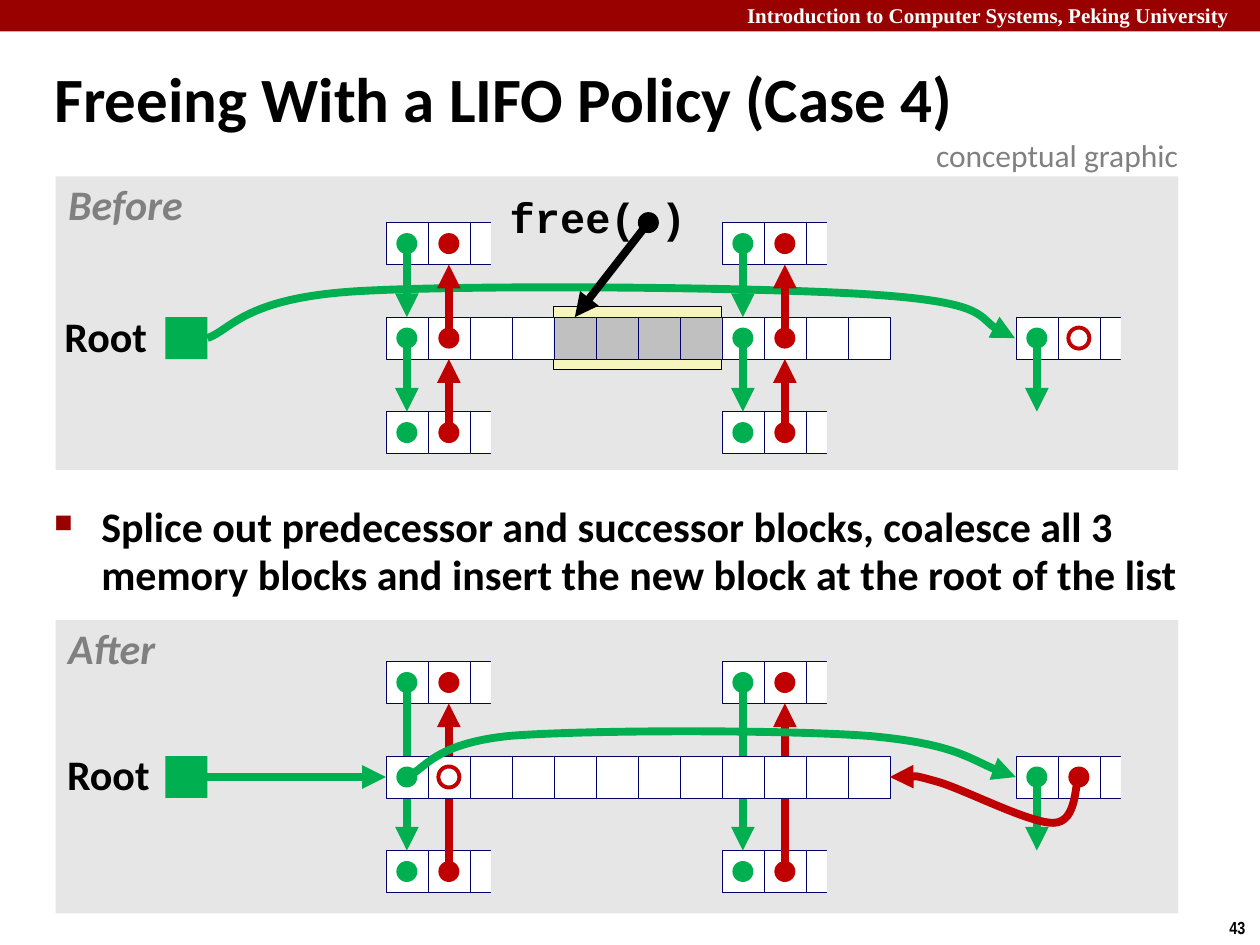
import lxml.etree
import pptx
import pptx.dml.color
import pptx.enum.dml
import pptx.enum.shapes
import pptx.enum.text
import pptx.oxml.ns
import pptx.util

Pt = pptx.util.Pt
hex_color = pptx.dml.color.RGBColor.from_string
qn = pptx.oxml.ns.qn
RECTANGLE = pptx.enum.shapes.MSO_SHAPE.RECTANGLE
OVAL = pptx.enum.shapes.MSO_SHAPE.OVAL
ALIGN = pptx.enum.text.PP_ALIGN
ANCHOR = pptx.enum.text.MSO_ANCHOR
GREEN, RED, NAVY, GRAY, PANEL = "00B050", "C00000", "000066", "808080", "E6E6E6"
TOP, LEFT, BOTTOM = 0, 1, 2
CELL, DOT, ROW_STEP = 24, 12, 54
FIRST_LEFT, SECOND_LEFT, LAST_LEFT, ROOT_LEFT = 220.5, 412.5, 580.5, 94.5
BEFORE_TOP, AFTER_TOP = 127.2, 378

presentation = pptx.Presentation()
presentation.slide_width, presentation.slide_height = Pt(720), Pt(540)
slide = presentation.slides.add_slide(presentation.slide_layouts[5])


def draw_shape(shapes, kind, left, top, width, height, fill=None, line=None, line_width=0.25):
    shape = shapes.add_shape(kind, Pt(left), Pt(top), Pt(width), Pt(height))
    shape.shadow.inherit = False
    for part, color in ((shape.fill, fill), (shape.line.fill, line)):
        if color:
            part.solid()
            part.fore_color.rgb = hex_color(color)
        else:
            part.background()
    if line:
        shape.line.width = Pt(line_width)
    return shape


def draw_arrow(points, color, target=None, side=TOP):
    lengths = [(Pt(x), Pt(y)) for x, y in points]
    if len(points) == 2:
        arrow = slide.shapes.add_connector(
            pptx.enum.shapes.MSO_CONNECTOR.STRAIGHT, *lengths[0], *lengths[1])
        if target is not None:
            arrow.end_connect(target, side)
    else:
        builder = slide.shapes.build_freeform(*lengths[0], scale=1.0)
        builder.add_line_segments(lengths[1:], close=False)
        arrow = builder.convert_to_shape()
        arrow.fill.background()
        for index, segment in enumerate(arrow.element.xpath(".//a:lnTo")):
            outline = segment.getparent()
            if index % 3 == 0:
                curve = lxml.etree.SubElement(outline, qn("a:cubicBezTo"))
            curve.append(segment[0])
            outline.remove(segment)
    arrow.line.width = Pt(4.5)
    arrow.line.color.rgb = hex_color(color)
    lxml.etree.SubElement(arrow.get_or_add_ln(), qn("a:tailEnd"), type="triangle")
    lxml.etree.SubElement(arrow.element.spPr, qn("a:effectLst"))


draw_shape(slide.shapes, RECTANGLE, 0, 0, 720, 18, "990000")
for panel_top in (100.8, 354.2):
    draw_shape(slide.shapes, RECTANGLE, 31.8, panel_top, 641.5, 167.8, PANEL)
draw_shape(slide.shapes, RECTANGLE, 316.5, 175.2, 96, 36, "F6F5BD", "000000", 0.75)

cells = {}
for top in (BEFORE_TOP, AFTER_TOP):
    middle = top + ROW_STEP
    stubs = [(left, top + row * ROW_STEP)
             for left in (FIRST_LEFT, SECOND_LEFT) for row in (0, 2)]
    for stub_left, stub_top in stubs + [(LAST_LEFT, middle)]:
        group = slide.shapes.add_group_shape()
        for column in range(3):
            left = stub_left + column * CELL
            cells[left, stub_top] = draw_shape(
                group.shapes, RECTANGLE, left, stub_top, CELL, CELL, "FFFFFF", NAVY)
        draw_shape(group.shapes, RECTANGLE, stub_left + 60, stub_top - 6, CELL, 36, PANEL)
    draw_shape(slide.shapes, RECTANGLE, ROOT_LEFT, middle, CELL, CELL, GREEN)

for left in (FIRST_LEFT, SECOND_LEFT):
    center, bottom = left + CELL / 2, AFTER_TOP + 2 * ROW_STEP
    draw_arrow([(center + CELL, bottom + 12), (center + CELL, AFTER_TOP + CELL)],
               RED, cells[left + CELL, AFTER_TOP], BOTTOM)
    draw_arrow([(center, AFTER_TOP + 12), (center, bottom)], GREEN, cells[left, bottom])
draw_arrow([(118.5, 193.2), (132, 188.6), (139, 170.6), (202.5, 166.5), (266.5, 162.5),
            (437, 164), (500.5, 168.5), (563, 172.8), (563, 188), (580, 193.2)], GREEN)

for top, allocated_color in ((BEFORE_TOP, "C0C0C0"), (AFTER_TOP, "FFFFFF")):
    middle = top + ROW_STEP
    for column in range(12):
        left = FIRST_LEFT + column * CELL
        fill = allocated_color if 4 <= column < 8 else "FFFFFF"
        cells[left, middle] = draw_shape(
            slide.shapes, RECTANGLE, left, middle, CELL, CELL, fill, NAVY)
    center = LAST_LEFT + CELL / 2
    draw_arrow([(center, middle + 12), (center, middle + ROW_STEP)], GREEN)

for left in (FIRST_LEFT, SECOND_LEFT):
    center = left + CELL / 2
    for row in (0, 1):
        top = BEFORE_TOP + row * ROW_STEP
        below = top + ROW_STEP
        draw_arrow([(center, top + 12), (center, below)], GREEN, cells[left, below])
        draw_arrow([(center + CELL, below + 12), (center + CELL, top + CELL)],
                   RED, cells[left + CELL, top], BOTTOM)

draw_arrow([(112.5, 444), (FIRST_LEFT, 444)], GREEN, cells[FIRST_LEFT, 432], LEFT)
draw_arrow([(232.5, 444), (242.5, 440), (247.5, 424.8), (291.5, 420.5), (335.5, 417),
            (448, 417), (496, 420.5), (544.5, 424.8), (563, 439), (580.5, 444)], GREEN)
draw_arrow([(616.5, 444), (614, 448.5), (615.5, 470), (602, 470.2), (588, 470.5),
            (550, 450.5), (535, 446.5), (519, 442), (514, 444), (508.5, 444)], RED)

dots = [(left, top + row * ROW_STEP)
        for top in (BEFORE_TOP, AFTER_TOP)
        for left in (FIRST_LEFT, SECOND_LEFT, LAST_LEFT)
        for row in ((1,) if left == LAST_LEFT else (0, 1, 2))
        if (left, row, top) != (SECOND_LEFT, 1, AFTER_TOP)]
rings = [(LAST_LEFT, BEFORE_TOP + ROW_STEP), (FIRST_LEFT, AFTER_TOP + ROW_STEP)]
for left, top in dots:
    draw_shape(slide.shapes, OVAL, left + 6, top + 6, DOT, DOT, GREEN)
    fill, line = (None, RED) if (left, top) in rings else (RED, None)
    draw_shape(slide.shapes, OVAL, left + CELL + 6, top + 6, DOT, DOT, fill, line, 2.25)

heading = {"name": "Calibri", "size": Pt(24), "bold": True}
label_format = {"alignment": ALIGN.CENTER, "line_spacing": 0.9}
black, gray, white = "000000", GRAY, "FFFFFF"
texts = [
    ("Introduction to Computer Systems, Peking University", (419.8, -2, 305, 21.6), white,
     {"name": "Times New Roman", "size": Pt(12), "bold": True}, {}, True),
    ("43", (695.5, 520.6, 24.5, 19.4), black,
     {"name": "Arial Narrow", "size": Pt(10), "bold": True}, {}, False),
    ("Freeing With a LIFO Policy (Case 4)", (23.8, 28, 686, 62), black,
     {**heading, "size": Pt(36)}, {"alignment": ALIGN.LEFT, "line_spacing": 0.87}, True),
    ("Splice out predecessor and successor blocks, coalesce all 3 memory blocks and insert "
     "the new block at the root of the list", (23.8, 284.4, 667.5, 89.3), black,
     heading, {"line_spacing": 0.95}, True),
    ("free( )", (287.3, 109.4, 108.7, 33.8), black,
     {**heading, "name": "Courier New"}, label_format, False),
    ("Root", (33.1, 177.1, 54.7, 33.8), black, heading, label_format, False),
    ("Root", (34.6, 427.7, 54.7, 33.8), black, heading, label_format, False),
    ("Before", (34.6, 101.5, 74.2, 33.8), gray,
     {**heading, "italic": True}, label_format, False),
    ("After", (34.6, 355.7, 58.3, 33.8), gray,
     {**heading, "italic": True}, label_format, False),
    ("conceptual graphic", (527.8, 74.2, 156.2, 28.8), gray,
     {"name": "Calibri", "size": Pt(18)}, {}, False),
]
for text, place, color, font_format, paragraph_format, wrap in texts:
    if text.startswith("Freeing"):
        box = slide.shapes.title
        box.left, box.top, box.width, box.height = map(Pt, place)
        box.text_frame.vertical_anchor = ANCHOR.MIDDLE
    else:
        box = slide.shapes.add_textbox(*map(Pt, place))
    frame = box.text_frame
    frame.auto_size = pptx.enum.text.MSO_AUTO_SIZE.NONE
    frame.word_wrap = wrap
    if paragraph_format is label_format:
        frame.margin_left = frame.margin_right = Pt(3.6)
    frame.text = text
    paragraph = frame.paragraphs[0]
    if text.startswith("Splice"):
        properties = paragraph._p.get_or_add_pPr()
        properties.set("marL", str(Pt(27)))
        properties.set("indent", str(-Pt(27)))
        bullet_color = lxml.etree.SubElement(properties, qn("a:buClr"))
        lxml.etree.SubElement(bullet_color, qn("a:srgbClr"), val="990000")
        lxml.etree.SubElement(properties, qn("a:buSzPct"), val="60000")
        lxml.etree.SubElement(properties, qn("a:buChar"), char="■")
    for name, value in paragraph_format.items():
        setattr(paragraph, name, value)
    font = paragraph.runs[0].font
    for name, value in font_format.items():
        setattr(font, name, value)
    font.color.rgb = hex_color(color)

draw_shape(slide.shapes, OVAL, 364.5, 121.2, DOT, DOT, "000000")
draw_arrow([(370.5, 127.2), (328.5, 181.2)], "000000", cells[316.5, 181.2])

presentation.save("out.pptx")
